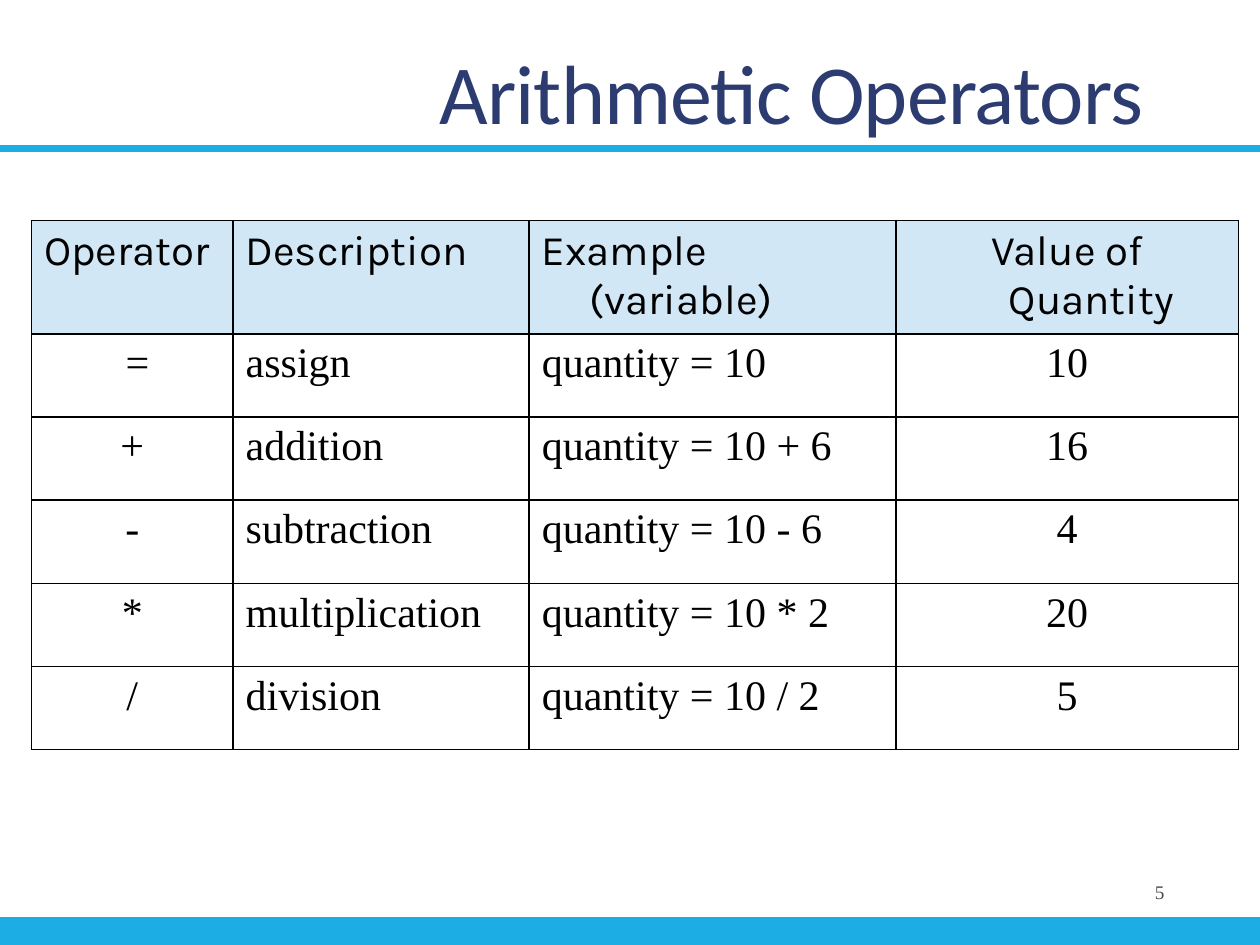
from dataclasses import dataclass

from lxml import etree
from pptx import Presentation
from pptx.dml.color import RGBColor
from pptx.enum.shapes import MSO_CONNECTOR
from pptx.enum.text import MSO_ANCHOR, PP_ALIGN
from pptx.oxml.ns import qn
from pptx.util import Inches, Pt

LEFT, CENTER, RIGHT = PP_ALIGN.LEFT, PP_ALIGN.CENTER, PP_ALIGN.RIGHT
TOP, MIDDLE, BOTTOM = MSO_ANCHOR.TOP, MSO_ANCHOR.MIDDLE, MSO_ANCHOR.BOTTOM
STRAIGHT = MSO_CONNECTOR.STRAIGHT


@dataclass(frozen=True)
class Theme:
    title_color: str = "2C3C70"
    number_color: str = "4D4D4D"
    ink: str = "000000"
    accent: str = "1CADE4"
    header_fill: str = "D1E7F6"
    body_fill: str = "FFFFFF"
    title_font: str = "Calibri"
    header_font: str = "Karla"
    body_font: str = "Times New Roman"
    title_size: float = 48
    table_size: float = 24
    number_size: float = 11
    border_width: float = 1


@dataclass(frozen=True)
class Column:
    heading: str
    width: float
    heading_align: PP_ALIGN
    body_align: PP_ALIGN


@dataclass(frozen=True)
class Rule:
    y: float
    weight: float


THEME = Theme()
COLUMNS = (
    Column("Operator", 1.6, LEFT, CENTER),
    Column("Description", 2.35, LEFT, LEFT),
    Column("Example (variable)", 2.91, LEFT, LEFT),
    Column("Value of Quantity", 2.72, CENTER, CENTER),
)
OPERATIONS = (
    (" =", "assign", "quantity = 10", "10"),
    ("+", "addition", "quantity = 10 + 6", "16"),
    ("-", "subtraction", "quantity = 10 - 6", "4"),
    ("*", "multiplication", "quantity = 10 * 2", "20"),
    ("/", "division", "quantity = 10 / 2", "5"),
)
RULES = (Rule(1.18, 4), Rule(7.42, 20))
HEADER_HEIGHT, ROW_HEIGHT = 0.87, 0.66
HANGING_INDENT = 0.38


def write(frame, text: str, *, font: str, size: float, color: str,
          align: PP_ALIGN = LEFT, line_spacing: float | None = None,
          tracking: float | None = None, hanging: float = 0) -> None:
    paragraph = frame.paragraphs[0]
    paragraph.alignment = align
    if line_spacing:
        paragraph.line_spacing = line_spacing
    if hanging:
        properties = paragraph._p.get_or_add_pPr()
        properties.set("marL", str(Inches(hanging)))
        properties.set("indent", str(-Inches(hanging)))
    run = paragraph.add_run()
    run.text = text
    run.font.name = font
    run.font.size = Pt(size)
    run.font.color.rgb = RGBColor.from_string(color)
    if tracking:
        run._r.get_or_add_rPr().set("spc", str(round(tracking * 100)))


def add_label(slide, text: str, left: float, top: float, width: float,
              height: float, anchor: MSO_ANCHOR, **text_format) -> None:
    label = slide.shapes.add_textbox(
        Inches(left), Inches(top), Inches(width), Inches(height))
    label.text_frame.word_wrap = True
    label.text_frame.vertical_anchor = anchor
    write(label.text_frame, text, **text_format)


def add_rule(slide, rule: Rule) -> None:
    line = slide.shapes.add_connector(
        STRAIGHT, Inches(0), Inches(rule.y), Inches(10), Inches(rule.y))
    line.line.color.rgb = RGBColor.from_string(THEME.accent)
    line.line.width = Pt(rule.weight)
    etree.SubElement(line._element.spPr, qn("a:effectLst"))


def add_borders(cell) -> None:
    properties = cell._tc.get_or_add_tcPr()
    for side in ("a:lnL", "a:lnR", "a:lnT", "a:lnB"):
        border = etree.SubElement(
            properties, qn(side), w=str(Pt(THEME.border_width)))
        fill = etree.SubElement(border, qn("a:solidFill"))
        etree.SubElement(fill, qn("a:srgbClr"), val=THEME.ink)


def fill_cell(cell, text: str, *, fill: str, font: str,
              align: PP_ALIGN) -> None:
    cell.vertical_anchor = TOP
    add_borders(cell)
    cell.fill.solid()
    cell.fill.fore_color.rgb = RGBColor.from_string(fill)
    write(cell.text_frame, text, font=font, size=THEME.table_size,
          color=THEME.ink, align=align, hanging=HANGING_INDENT)


def add_operator_table(slide) -> None:
    width = sum(column.width for column in COLUMNS)
    height = HEADER_HEIGHT + ROW_HEIGHT * len(OPERATIONS)
    table = slide.shapes.add_table(
        len(OPERATIONS) + 1, len(COLUMNS), Inches(0.25), Inches(1.75),
        Inches(width), Inches(height)).table
    for index, row in enumerate(table.rows):
        row.height = Inches(ROW_HEIGHT if index else HEADER_HEIGHT)
    for x, column in enumerate(COLUMNS):
        table.columns[x].width = Inches(column.width)
        fill_cell(table.cell(0, x), column.heading, fill=THEME.header_fill,
                  font=THEME.header_font, align=column.heading_align)
        for y, operation in enumerate(OPERATIONS, start=1):
            fill_cell(table.cell(y, x), operation[x], fill=THEME.body_fill,
                      font=THEME.body_font, align=column.body_align)


def main() -> None:
    deck = Presentation()
    deck.slide_width, deck.slide_height = Inches(10), Inches(7.5)
    slide = deck.slides.add_slide(deck.slide_layouts[6])
    add_label(slide, "Arithmetic Operators", 2.17, 0, 7, 1.17, BOTTOM,
              font=THEME.title_font, size=THEME.title_size,
              color=THEME.title_color, align=RIGHT, line_spacing=0.85,
              tracking=-0.5)
    add_operator_table(slide)
    add_label(slide, "5", 7.92, 6.83, 1.42, 0.5, MIDDLE,
              font=THEME.body_font, size=THEME.number_size,
              color=THEME.number_color, align=RIGHT)
    for rule in RULES:
        add_rule(slide, rule)
    deck.save("out.pptx")


main()
